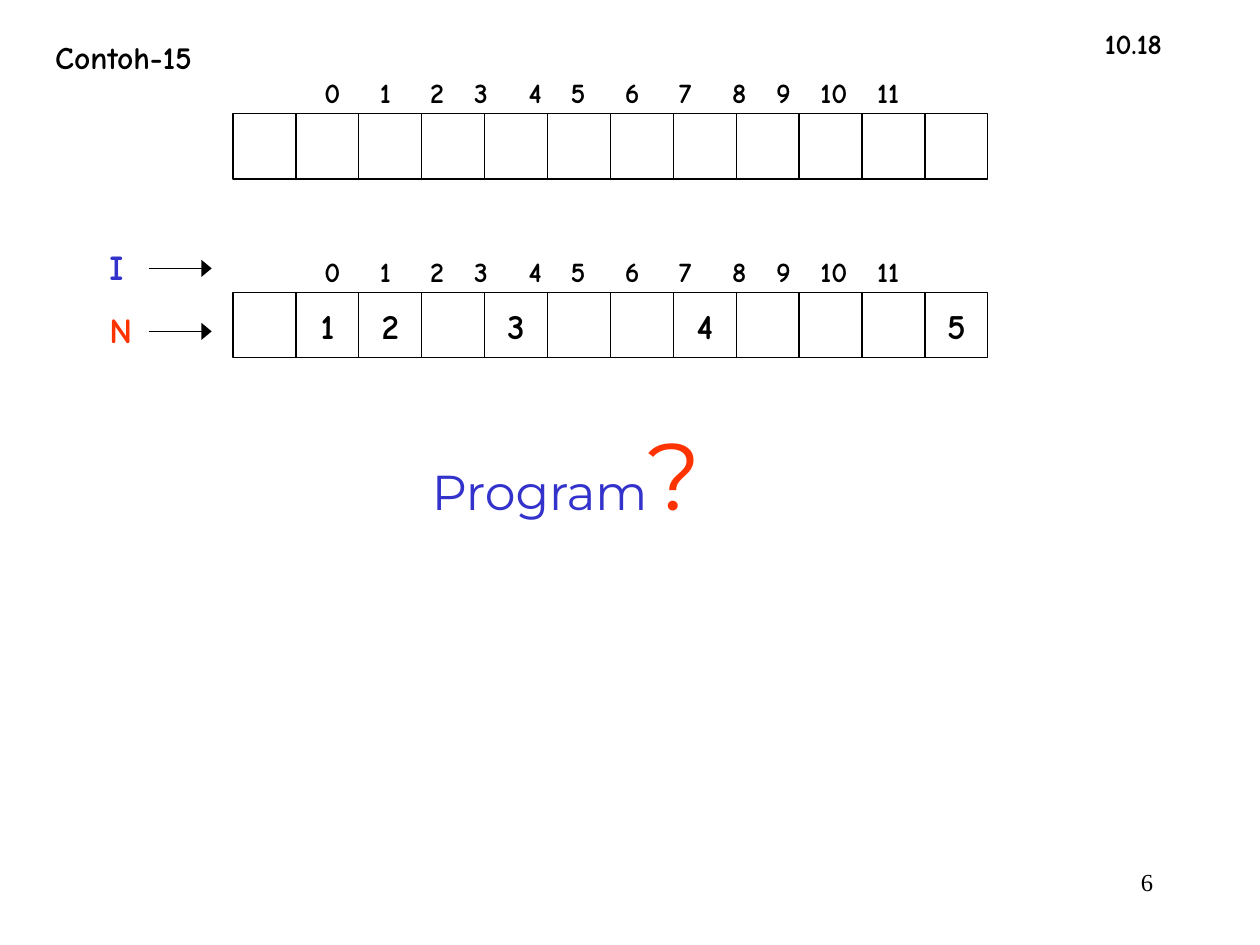
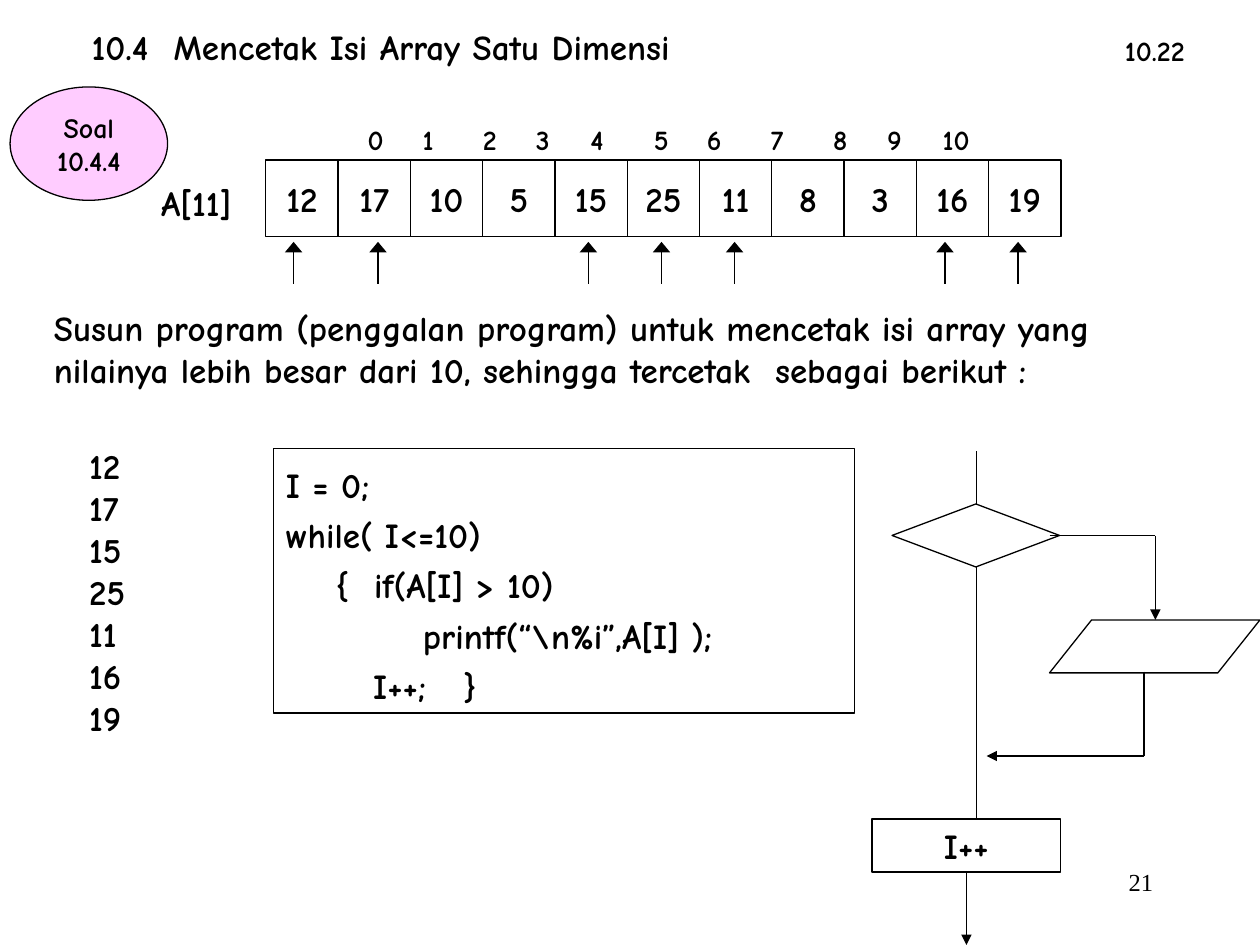
from dataclasses import dataclass

from lxml.etree import SubElement
from pptx import Presentation
from pptx.dml.color import RGBColor
from pptx.enum.shapes import MSO_CONNECTOR, MSO_SHAPE
from pptx.enum.text import MSO_ANCHOR, PP_ALIGN
from pptx.oxml.ns import qn
from pptx.util import Inches, Pt


@dataclass(frozen=True)
class Theme:
    ink: RGBColor = RGBColor(0x00, 0x00, 0x00)
    blue: RGBColor = RGBColor(0x33, 0x33, 0xCC)
    red: RGBColor = RGBColor(0xFF, 0x33, 0x00)
    pink: RGBColor = RGBColor(0xFF, 0xCC, 0xFF)
    hand: str = "Comic Neue"
    display: str = "Montserrat"
    serif: str = "Times New Roman"
    number: int = 14
    small: int = 16
    heading: int = 18
    body: int = 20
    program: int = 28
    question: int = 54
    line: float = 0.75


THEME = Theme()


# Shared helpers
def style(font, size, color=THEME.ink, name=THEME.hand, bold=True):
    font.size, font.name, font.bold = Pt(size), name, bold
    font.color.rgb = color


def set_tabs(paragraph, stops, align):
    tab_list = SubElement(paragraph._p.get_or_add_pPr(), qn("a:tabLst"))
    for stop in stops:
        SubElement(tab_list, qn("a:tab"), pos=str(Inches(stop)), algn=align)


def write(frame, lines, size, color=THEME.ink, align=PP_ALIGN.LEFT,
          spacing=None, tabs=(), tab_align="l", **font):
    for i, line in enumerate(lines):
        paragraph = frame.add_paragraph() if i else frame.paragraphs[0]
        paragraph.text = line
        paragraph.alignment = align
        if spacing:
            paragraph.line_spacing = spacing
        if tabs:
            set_tabs(paragraph, tabs, tab_align)
        style(paragraph.font, size, color, **font)


def add_label(slide, box, lines, size, color=THEME.ink, **options):
    frame = slide.shapes.add_textbox(*map(Inches, box)).text_frame
    frame.word_wrap = True
    write(frame, lines, size, color, **options)


def add_outline(slide, kind, box, lines=(), size=THEME.body, fill=None):
    outline = slide.shapes.add_shape(kind, *map(Inches, box))
    outline.shadow.inherit = False
    if fill is None:
        outline.fill.background()
    else:
        outline.fill.solid()
        outline.fill.fore_color.rgb = fill
    outline.line.color.rgb = THEME.ink
    outline.line.width = Pt(THEME.line)
    frame = outline.text_frame
    frame.word_wrap = False
    frame.vertical_anchor = MSO_ANCHOR.MIDDLE
    write(frame, lines, size, align=PP_ALIGN.CENTER)
    return outline


def add_line(slide, start, end, head_width=None):
    line = slide.shapes.add_connector(MSO_CONNECTOR.STRAIGHT,
                                      *map(Inches, (*start, *end)))
    line.line.color.rgb = THEME.ink
    line.line.width = Pt(THEME.line)
    properties = line._element.spPr
    if head_width:
        SubElement(properties.find(qn("a:ln")), qn("a:tailEnd"),
                   type="triangle", w=head_width, len="med")
    SubElement(properties, qn("a:effectLst"))


def add_page_number(slide, number):
    add_label(slide, (7.17, 6.83, 2.08, 0.5), [number], THEME.number,
              align=PP_ALIGN.RIGHT, name=THEME.serif, bold=False)


# Array diagram: equal cells, with index numbers above them
def add_cells(slide, box, values):
    left, top, width, height = box
    cell = width / len(values)
    for i, value in enumerate(values):
        add_outline(slide, MSO_SHAPE.RECTANGLE,
                    (left + i * cell, top, cell, height), [value] if value else [])


def add_indices(slide, box, centres):
    text = "".join(f"\t{i}" for i in range(len(centres)))
    add_label(slide, box, [text], THEME.small, tabs=centres, tab_align="ctr")


def add_pointer(slide, box, name, color):
    left, top, width, height = box
    add_label(slide, box, [name], THEME.body, color)
    middle = top + 0.23
    add_line(slide, (left + 0.41, middle), (left + 0.91, middle), "lg")


def add_program_question(slide, box):
    frame = slide.shapes.add_textbox(*map(Inches, box)).text_frame
    frame.word_wrap = True
    paragraph = frame.paragraphs[0]
    for text, size, color in (("Program", THEME.program, THEME.blue),
                              ("?", THEME.question, THEME.red)):
        run = paragraph.add_run()
        run.text = text
        style(run.font, size, color, THEME.display, bold=False)


def add_code(slide, box):
    code = ["I = 0;",
            "while( I<=10)",
            "    {  if(A[I] > 10)",
            "           printf(“\\n%i”,A[I] );",
            "       I++;   }"]
    frame = add_outline(slide, MSO_SHAPE.RECTANGLE, box).text_frame
    frame.word_wrap = True
    frame.vertical_anchor = MSO_ANCHOR.TOP
    write(frame, code, THEME.body, spacing=1.2)


def add_flowchart(slide, left, top):
    def at(x, y):
        return left + x, top + y

    # Steps
    add_outline(slide, MSO_SHAPE.FLOWCHART_DECISION, (*at(0.16, 0.42), 1.33, 0.5))
    add_outline(slide, MSO_SHAPE.FLOWCHART_DATA, (*at(1.41, 1.34), 1.67, 0.42))
    add_outline(slide, MSO_SHAPE.RECTANGLE, (*at(0, 2.92), 1.5, 0.42), ["I++"])
    # Main path, then the branch that prints and returns
    for start, end, head_width in (
        ((0.83, 0), (0.83, 0.42), None),
        ((0.83, 0.92), (0.83, 2.92), None),
        ((0.75, 3.34), (0.75, 3.92), "med"),
        ((1.41, 0.67), (2.25, 0.67), None),
        ((2.25, 0.67), (2.25, 1.34), "med"),
        ((2.16, 1.75), (2.16, 2.42), None),
        ((2.16, 2.42), (0.91, 2.42), "med"),
    ):
        add_line(slide, at(*start), at(*end), head_width)


# Slides
def build_example(slide):
    centres = (0.14, 0.56, 0.97, 1.32, 1.75, 2.09,
               2.52, 2.94, 3.37, 3.72, 4.12, 4.55)
    add_label(slide, (0.34, 0.25, 1.6, 0.4), ["Contoh-15"], THEME.heading)
    add_label(slide, (8.67, 0.16, 0.9, 0.37), ["10.18"], THEME.small)

    # Empty array above, filled array below
    filled = ["", "1", "2", "", "3", "", "", "4", "", "", "", "5"]
    for top, values in ((0.9, [""] * 12), (2.32, filled)):
        add_cells(slide, (1.85, top, 5.99, 0.52), values)
        add_indices(slide, (2.4, top - 0.35, 5.2, 0.37), centres)

    add_pointer(slide, (0.77, 1.9, 0.4, 0.44), "I", THEME.blue)
    add_pointer(slide, (0.77, 2.4, 0.5, 0.44), "N", THEME.red)
    add_program_question(slide, (3.33, 3.25, 2.58, 1))
    add_page_number(slide, "6")


def build_exercise(slide):
    values = [12, 17, 10, 5, 15, 25, 11, 8, 3, 16, 19]
    add_label(slide, (0.63, 0.15, 5.2, 0.44),
              ["10.4\tMencetak Isi Array Satu Dimensi"], THEME.body, tabs=[0.65])
    add_label(slide, (8.83, 0.22, 0.9, 0.37), ["10.22"], THEME.small)

    # Array with arrows under the values above 10
    add_indices(slide, (2.82, 0.92, 5.2, 0.37),
                (0.06, 0.48, 0.97, 1.39, 1.82, 2.33, 2.75, 3.25, 3.75, 4.18, 4.67))
    add_cells(slide, (2.11, 1.27, 6.31, 0.61), [str(v) for v in values])
    add_outline(slide, MSO_SHAPE.OVAL, (0.08, 0.69, 1.25, 0.9),
                ["Soal", "10.4.4"], THEME.small, THEME.pink)
    add_label(slide, (1.18, 1.39, 0.9, 0.44), ["A[11]"], THEME.body)
    for x in (2.33, 3, 4.67, 5.25, 5.83, 7.5, 8.08):
        add_line(slide, (x, 2.25), (x, 1.92), "lg")

    # Task, expected output and solution
    add_label(slide, (0.33, 2.38, 9.08, 0.77),
              ["Susun program (penggalan program) untuk mencetak isi array yang "
               "nilainya lebih besar dari 10, sehingga tercetak  sebagai berikut :"],
              THEME.body)
    add_label(slide, (0.61, 3.48, 0.8, 2.44),
              [str(v) for v in values if v > 10], THEME.body)
    add_code(slide, (2.17, 3.56, 4.61, 2.1))
    add_flowchart(slide, 6.92, 3.58)
    add_page_number(slide, "21")


def main():
    deck = Presentation()
    deck.slide_width, deck.slide_height = Inches(10), Inches(7.5)
    for build in (build_example, build_exercise):
        build(deck.slides.add_slide(deck.slide_layouts[6]))
    deck.save("out.pptx")


if __name__ == "__main__":
    main()
